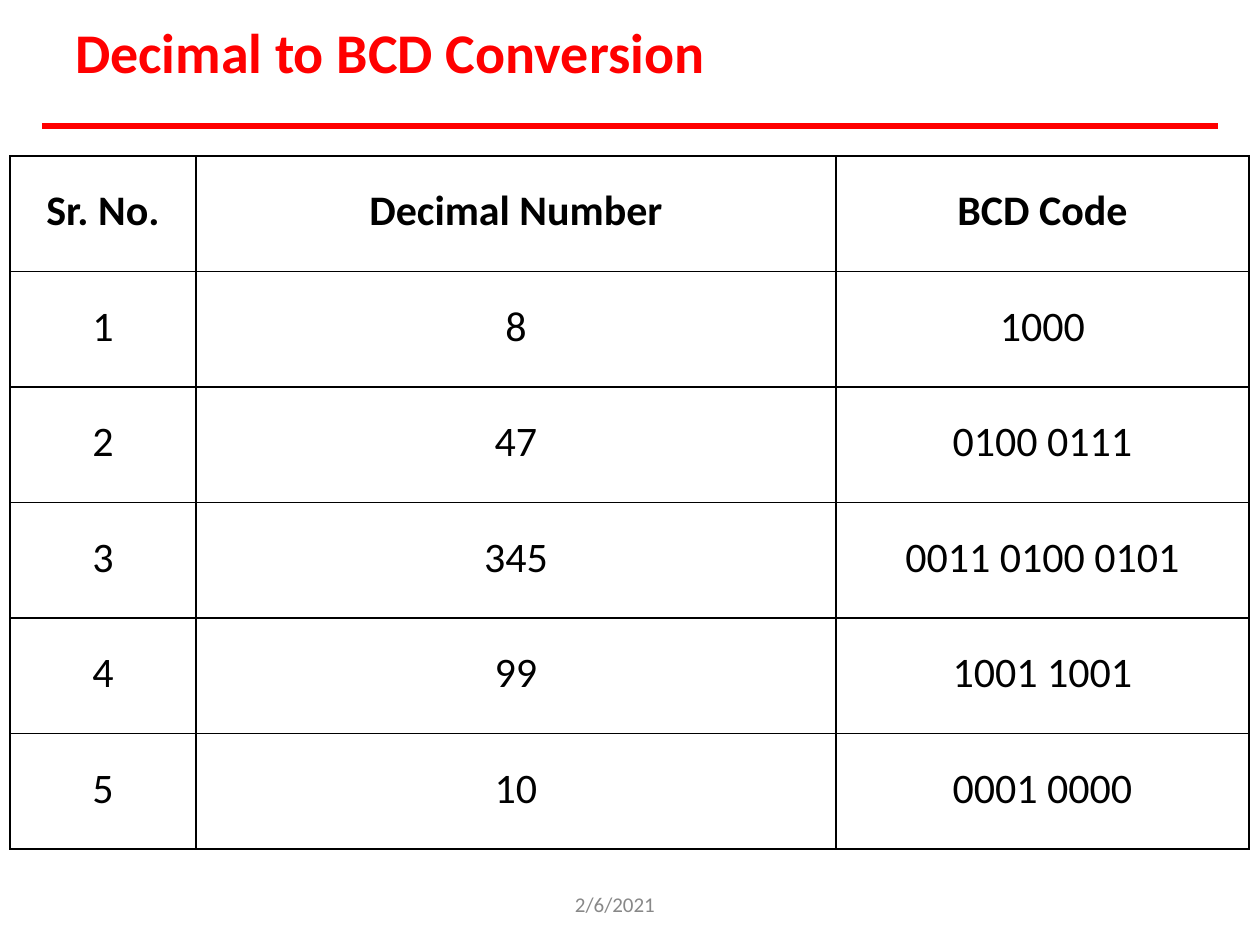
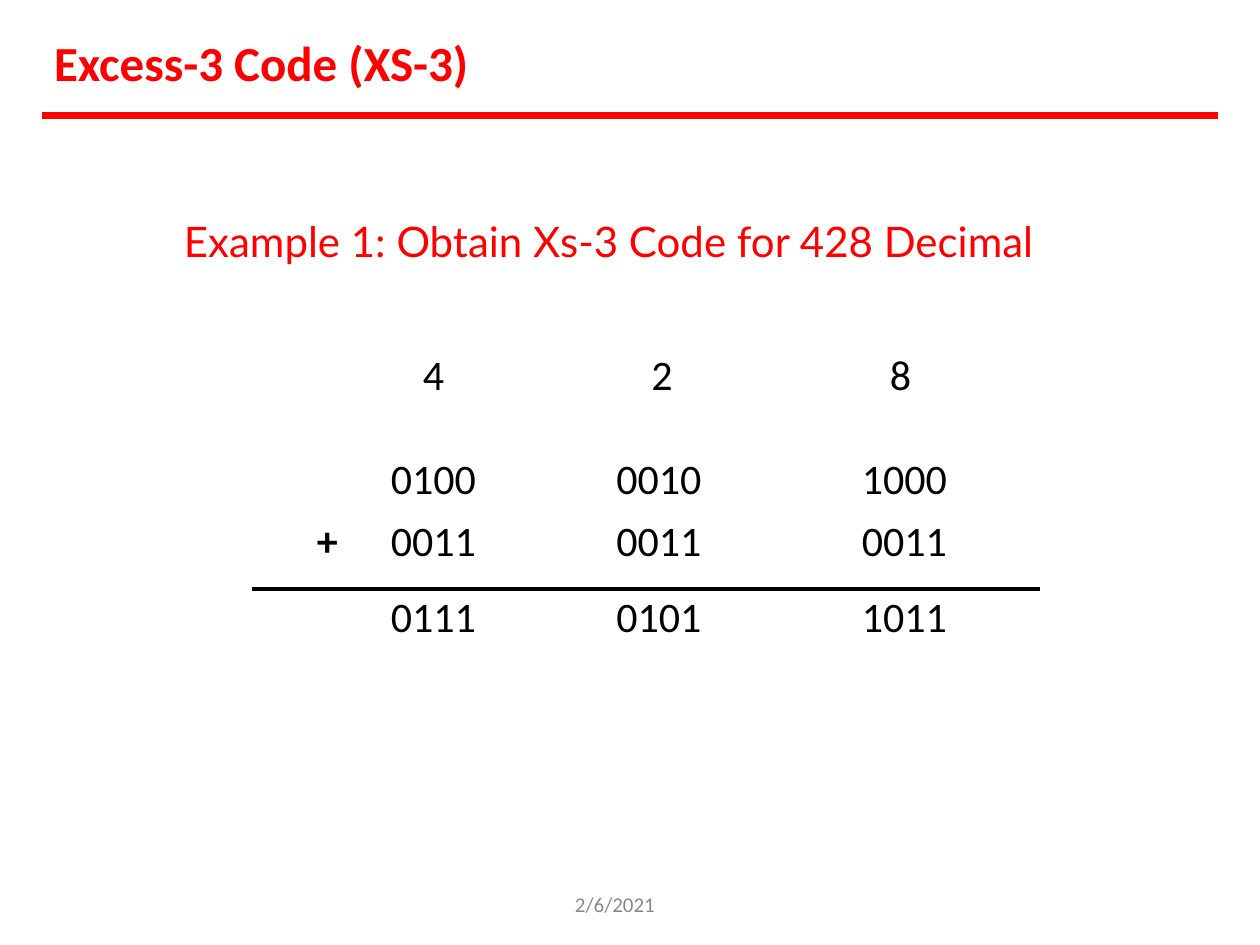
import pptx
import pptx.dml.color
import pptx.enum.shapes
import pptx.enum.text
import pptx.oxml.ns
import pptx.util
import lxml.etree

RED = pptx.dml.color.RGBColor(0xFF, 0x00, 0x00)
BLACK = pptx.dml.color.RGBColor(0x00, 0x00, 0x00)
GRAY = pptx.dml.color.RGBColor(0x88, 0x88, 0x88)
FONT = "Calibri"
EXAMPLE_FONT = "Lato"
PX_PER_INCH = 126
TITLE_ONLY = 5

BCD_ROWS = [
    ("Sr. No.", "Decimal Number", "BCD Code"),
    ("1", "8", "1000"),
    ("2", "47", "0100 0111"),
    ("3", "345", "0011 0100 0101"),
    ("4", "99", "1001 1001"),
    ("5", "10", "0001 0000"),
]
SUM_ROWS = [
    ("", "4", "2", "8"),
    ("", "0100", "0010", "1000"),
    ("+", "0011", "0011", "0011"),
    ("", "0111", "0101", "1011"),
]


def px(n):
    return pptx.util.Emu(round(n * 914400 / PX_PER_INCH))


def write(tf, text, size=24, color=BLACK, bold=False, font=FONT,
          align=pptx.enum.text.PP_ALIGN.LEFT, spacing=1.0):
    p = tf.paragraphs[0]
    p.alignment = align
    p.line_spacing = spacing
    r = p.add_run()
    r.text = text
    r.font.name = font
    r.font.size = pptx.util.Pt(size)
    r.font.bold = bold
    r.font.color.rgb = color


def set_frame(tf, top=0):
    tf.word_wrap = True
    tf.auto_size = pptx.enum.text.MSO_AUTO_SIZE.NONE
    tf.vertical_anchor = pptx.enum.text.MSO_ANCHOR.TOP
    tf.margin_left = tf.margin_right = tf.margin_bottom = 0
    tf.margin_top = px(top)


def add_text(s, x, y, w, h, text, top=0, **fmt):
    sp = s.shapes.add_textbox(px(x), px(y), px(w), px(h))
    set_frame(sp.text_frame, top)
    write(sp.text_frame, text, **fmt)


def set_title(s, x, y, w, h, text, size):
    sp = s.shapes.title
    sp.left, sp.top, sp.width, sp.height = px(x), px(y), px(w), px(h)
    set_frame(sp.text_frame, top=1)
    write(sp.text_frame, text, size=size, color=RED, bold=True)


def add_rule(s, y):
    line = s.shapes.add_connector(
        pptx.enum.shapes.MSO_CONNECTOR.STRAIGHT, px(42), px(y), px(1218), px(y))
    line.line.color.rgb = RED
    line.line.width = pptx.util.Pt(4)
    lxml.etree.SubElement(line._element.spPr, pptx.oxml.ns.qn("a:effectLst"))


def add_slide(prs, rule_y):
    s = prs.slides.add_slide(prs.slide_layouts[TITLE_ONLY])
    add_rule(s, rule_y)
    add_text(s, 575, 891, 111, 24, "2/6/2021", size=12, color=GRAY, spacing=1.03)
    return s


def set_borders(cell, sides, width):
    qn = pptx.oxml.ns.qn
    tc_pr = cell._tc.get_or_add_tcPr()
    for side in "LRTB":
        ln = lxml.etree.SubElement(tc_pr, qn("a:ln" + side))
        if side in sides:
            ln.set("w", str(pptx.util.Pt(width)))
            fill = lxml.etree.SubElement(ln, qn("a:solidFill"))
            lxml.etree.SubElement(fill, qn("a:srgbClr")).set("val", str(BLACK))
        else:
            ln.set("w", "0")
            lxml.etree.SubElement(ln, qn("a:noFill"))


def add_table(s, x, y, widths, heights):
    frame = s.shapes.add_table(len(heights), len(widths), px(x), px(y),
                               px(sum(widths)), px(sum(heights)))
    table = frame.table
    table.first_row = table.horz_banding = False
    for column, width in zip(table.columns, widths):
        column.width = px(width)
    for row, height in zip(table.rows, heights):
        row.height = px(height)
    return table


def fill_cell(cell, text, sides, width, left=0, top=0, right=0, **fmt):
    set_borders(cell, sides, width)
    cell.fill.background()
    cell.margin_left, cell.margin_top = px(left), px(top)
    cell.margin_right, cell.margin_bottom = px(right), 0
    if text:
        write(cell.text_frame, text, **fmt)


def add_bcd_table(s):
    count = len(BCD_ROWS)
    table = add_table(s, 10, 156, [186, 640, 413], [693 / count] * count)
    for i, row in enumerate(BCD_ROWS):
        for j, text in enumerate(row):
            fill_cell(table.cell(i, j), text, "LRTB", 1, top=30, bold=i == 0,
                      align=pptx.enum.text.PP_ALIGN.CENTER)


def add_sum_table(s):
    table = add_table(s, 252, 352, [112, 183, 236, 257], [78, 83, 76, 57])
    tops = [0, 25, 0, 4]
    spacings = [0.95, 1.0, 1.08, 1.0]
    sides = ["", "", "B", "T"]
    digit_rights = [0, 44, 6, 22]
    code_rights = [0, 44, 12, 14]
    for i, row in enumerate(SUM_ROWS):
        rights = code_rights if i else digit_rights
        for j, text in enumerate(row):
            plus = text == "+"
            align = pptx.enum.text.PP_ALIGN.LEFT if plus else pptx.enum.text.PP_ALIGN.CENTER
            fill_cell(table.cell(i, j), text, sides[i], 2.25,
                      left=65 if plus else 0, top=tops[i], right=rights[j],
                      bold=plus, align=align, spacing=spacings[i])
    table.cell(0, 0).merge(table.cell(1, 0))


def main():
    prs = pptx.Presentation()
    prs.slide_width, prs.slide_height = px(1260), px(945)

    s = add_slide(prs, 126)
    set_title(s, 75, 16, 640, 71, "Decimal to BCD Conversion", 32)
    add_bcd_table(s)

    s = add_slide(prs, 116)
    set_title(s, 54, 32, 425, 63, "Excess-3 Code (XS-3)", 28)
    add_text(s, 184, 214, 860, 54, "Example 1: Obtain Xs-3 Code for 428 Decimal",
             top=1, color=RED, font=EXAMPLE_FONT)
    add_sum_table(s)

    prs.save("out.pptx")


if __name__ == "__main__":
    main()
